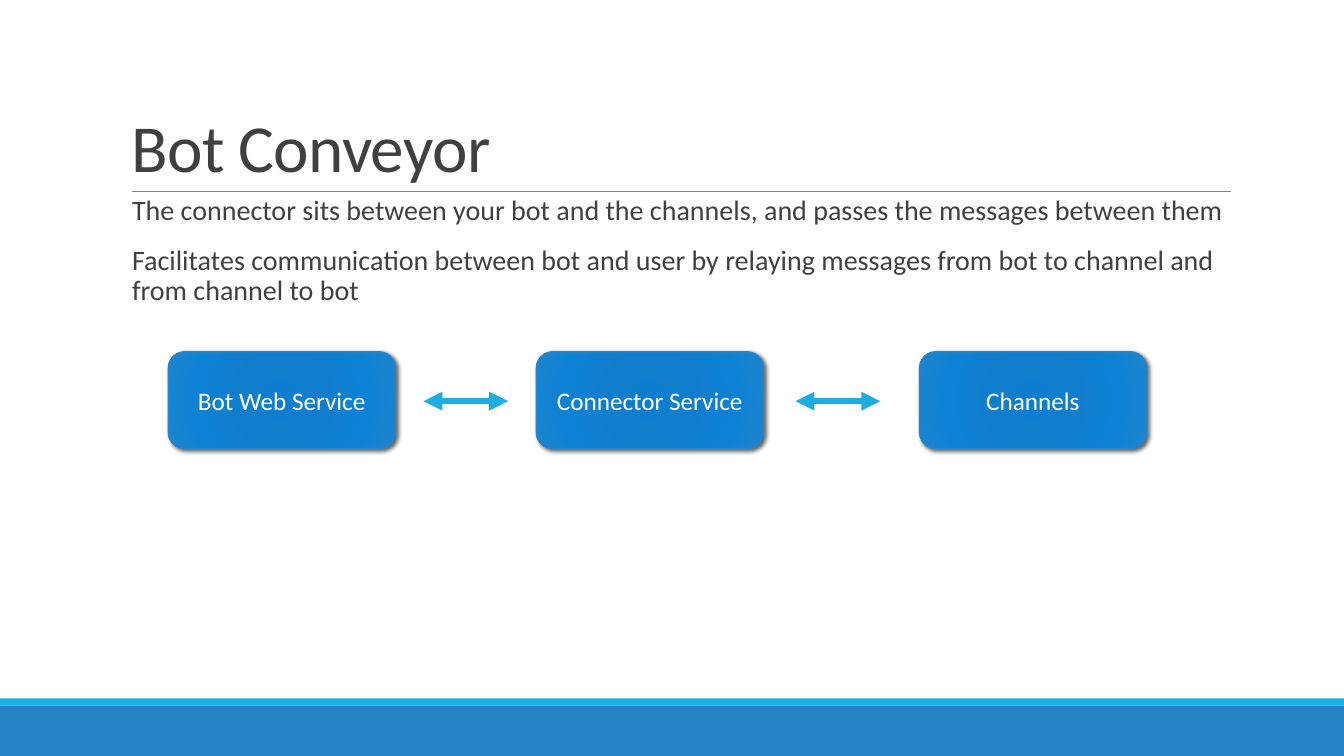
import pptx
import pptx.dml.color
import pptx.enum.shapes
import pptx.enum.text
import pptx.oxml
import pptx.oxml.ns
import pptx.util

TITLE = "Bot Conveyor"
BODY = [
    "The connector sits between your bot and the channels, and passes the messages between them",
    "Facilitates communication between bot and user by relaying messages "
    "from bot to channel and from channel to bot",
]
SERVICES = [("Bot Web Service", 1.67), ("Connector Service", 5.32), ("Channels", 9.12)]
ARROW_LEFTS = [4.2, 7.89]

THEME = {
    "font": "Calibri", "title": 48, "body": 20, "label": 18,
    "text": "404040", "white": "FFFFFF", "rule": "808080",
    "blue": "2683C6", "cyan": "1CADE4", "shadow": "000000",
    "gradient": [(0, "0D7ECF"), (34, "117ECD"), (70, "0D81D4"), (100, "1E84CE")],
}
WIDTH, HEIGHT = 13.33, 7.5
FOOTER_H, STRIPE_H = 0.5, 0.07
MARGIN, RULE_Y, RULE_W = 1.31, 1.9, 10.9
CONTENT_W, INSET = 11, 0.1
BOX_Y, BOX_W, BOX_H = 3.49, 2.25, 0.96
ARROW_W, ARROW_Y = 0.84, BOX_Y + BOX_H / 2 + 0.01

SHAPE = pptx.enum.shapes.MSO_SHAPE
ANCHOR = pptx.enum.text.MSO_ANCHOR
ALIGN = pptx.enum.text.PP_ALIGN
NS = pptx.oxml.ns.nsdecls("a")


def inches(*values):
    """Convert numbers to lengths in inches."""
    return [pptx.util.Inches(v) for v in values]


def rgb(name):
    """Look up a theme colour."""
    return pptx.dml.color.RGBColor.from_string(THEME[name])


def write(sp, paragraphs, size, color="text", align=ALIGN.LEFT, anchor=ANCHOR.TOP,
          side=INSET, leading=1.0, before=0, after=0, tracking=None):
    """Fill a shape with formatted paragraphs."""
    tf = sp.text_frame
    tf.word_wrap = True
    tf.vertical_anchor = anchor
    tf.margin_left = tf.margin_right = pptx.util.Inches(side)
    for i, text in enumerate(paragraphs):
        p = tf.add_paragraph() if i else tf.paragraphs[0]
        p.alignment, p.line_spacing = align, leading
        p.space_before, p.space_after = pptx.util.Pt(before), pptx.util.Pt(after)
        r = p.add_run()
        r.text = text
        r.font.name, r.font.size = THEME["font"], pptx.util.Pt(THEME[size])
        r.font.color.rgb = rgb(color)
        if tracking is not None:
            r.font._element.set("spc", str(int(tracking * 100)))


def add_band(s, top, height, color):
    """Add a full-width footer band."""
    sp = s.shapes.add_shape(SHAPE.RECTANGLE, *inches(0, top, WIDTH, height))
    sp.shadow.inherit = False
    sp.fill.solid()
    sp.fill.fore_color.rgb = rgb(color)
    sp.line.fill.background()


def add_line(s, left, y, width, color, weight, arrows=False):
    """Add a horizontal line, with an arrowhead at both ends if asked."""
    sp = s.shapes.add_connector(pptx.enum.shapes.MSO_CONNECTOR.STRAIGHT,
                                *inches(left, y, left + width, y))
    sp.line.color.rgb = rgb(color)
    sp.line.width = pptx.util.Pt(weight)
    if arrows:
        ln = sp.line._get_or_add_ln()
        for end in ("headEnd", "tailEnd"):
            ln.append(pptx.oxml.parse_xml(f'<a:{end} {NS} type="triangle"/>'))
    sp._element.spPr.append(pptx.oxml.parse_xml(f"<a:effectLst {NS}/>"))


def add_service(s, label, left):
    """Add a rounded service box with a radial gradient and a soft shadow."""
    sp = s.shapes.add_shape(SHAPE.ROUNDED_RECTANGLE, *inches(left, BOX_Y, BOX_W, BOX_H))
    sp.line.color.rgb = rgb("blue")
    sp.line.width = pptx.util.Pt(1)
    stops = "".join(f'<a:gs pos="{pos * 1000}"><a:srgbClr val="{color}"/></a:gs>'
                    for pos, color in THEME["gradient"])
    spPr = sp._element.spPr
    spPr.insert(2, pptx.oxml.parse_xml(
        f'<a:gradFill {NS} rotWithShape="1"><a:gsLst>{stops}</a:gsLst><a:path path="circle">'
        '<a:fillToRect l="100000" t="100000" r="100000" b="100000"/></a:path></a:gradFill>'))
    blur, dist = pptx.util.Pt(3), pptx.util.Pt(2)
    spPr.append(pptx.oxml.parse_xml(
        f'<a:effectLst {NS}><a:outerShdw blurRad="{blur}" dist="{dist}" dir="2700000" '
        f'algn="tl" rotWithShape="0"><a:srgbClr val="{THEME["shadow"]}">'
        '<a:alpha val="60000"/></a:srgbClr></a:outerShdw></a:effectLst>'))
    write(sp, [label], "label", color="white", align=ALIGN.CENTER, anchor=ANCHOR.MIDDLE)


prs = pptx.Presentation()
prs.slide_width, prs.slide_height = inches(WIDTH, HEIGHT)
s = prs.slides.add_slide(prs.slide_layouts[6])

add_band(s, HEIGHT - FOOTER_H, FOOTER_H, "blue")
add_band(s, HEIGHT - FOOTER_H - STRIPE_H, STRIPE_H, "cyan")
add_line(s, MARGIN, RULE_Y, RULE_W, "rule", 0.5)

title = s.shapes.add_textbox(*inches(MARGIN - INSET, 0.31, CONTENT_W, RULE_Y - 0.31))
write(title, [TITLE], "title", anchor=ANCHOR.BOTTOM, leading=0.85, tracking=-0.5)
body = s.shapes.add_textbox(*inches(MARGIN, RULE_Y, CONTENT_W, 1.44))
write(body, BODY, "body", side=0, leading=0.9, before=12, after=2)

for label, left in SERVICES:
    add_service(s, label, left)
for left in ARROW_LEFTS:
    add_line(s, left, ARROW_Y, ARROW_W, "cyan", 4.5, arrows=True)

prs.save("out.pptx")
